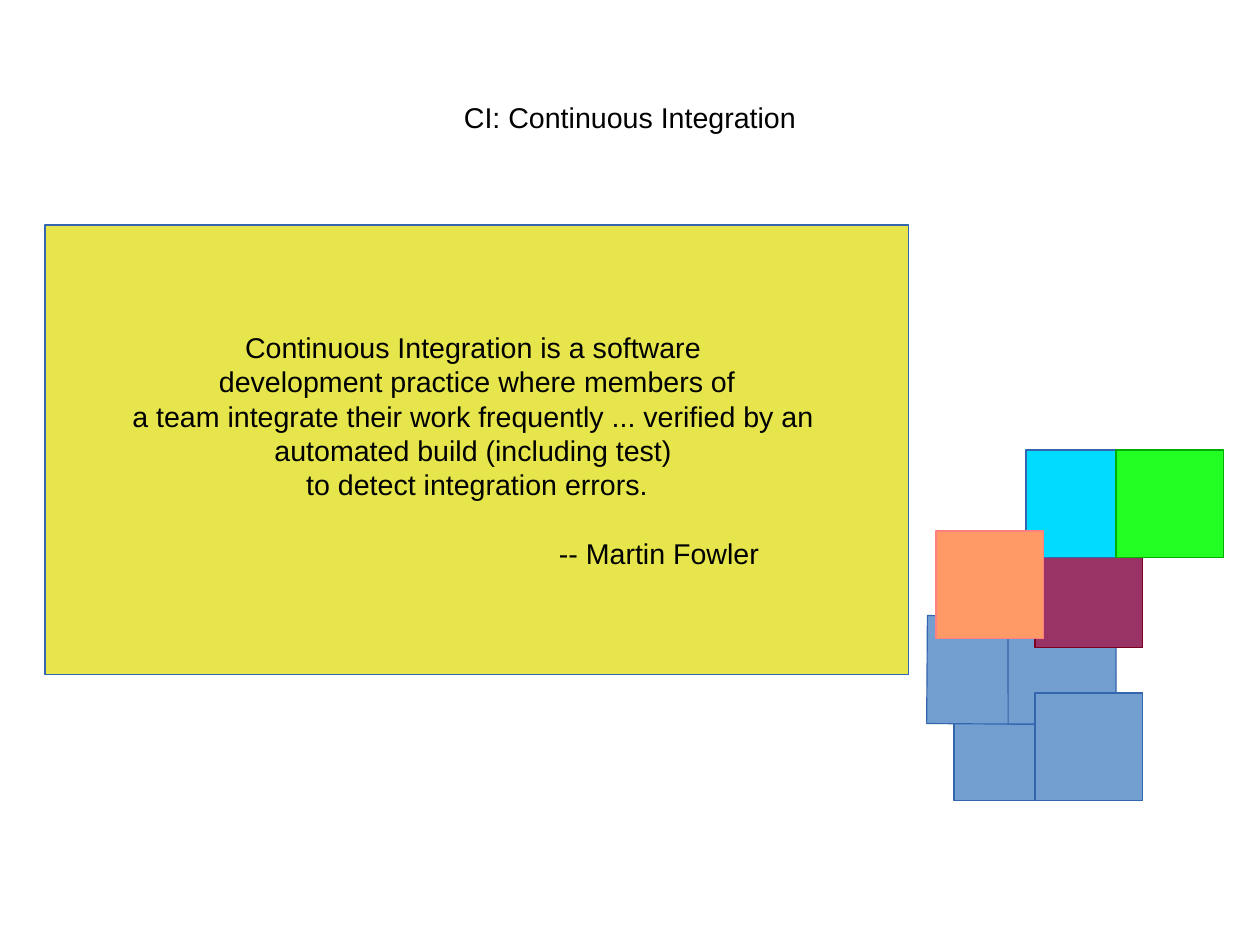
from pptx import Presentation
from pptx.dml.color import RGBColor
from pptx.enum.shapes import MSO_SHAPE
from pptx.enum.text import MSO_ANCHOR, PP_ALIGN
from pptx.util import Pt

RECTANGLE = MSO_SHAPE.RECTANGLE
MIDDLE = MSO_ANCHOR.MIDDLE
CENTER = PP_ALIGN.CENTER

EMU_PER_PX = 8000
PAGE_WIDTH, PAGE_HEIGHT = 1260, 945
SQUARE_SIDE = 108

BLACK = "000000"
YELLOW = "E6E64C"
BLUE = "729FCF"
BLUE_EDGE = "3465AF"

QUOTE = [
    "Continuous Integration is a software ",
    "development practice where members of",
    "a team integrate their work frequently ... verified by an ",
    "automated build (including test) ",
    "to detect integration errors.",
]
AUTHOR = "-- Martin Fowler"
AUTHOR_INDENT = 364
AUTHOR_GAP = 21.6

# left, top, rotation, fill, edge; from back to front
SQUARES = [
    (954, 693, 0, BLUE, BLUE_EDGE),
    (927, 616, 90.4, BLUE, BLUE_EDGE),
    (1008, 616, 89.9, BLUE, BLUE_EDGE),
    (1035, 540, 0, "993366", "7E0021"),
    (1026, 450, 0, "00DCFF", BLUE_EDGE),
    (936, 531, 0, "FF9966", "FF8080"),
    (1116, 450, 0, "23FF23", "00AE00"),
    (1035, 693, 0, BLUE, BLUE_EDGE),
]


def px(length):
    return length * EMU_PER_PX


def color(value):
    return RGBColor.from_string(value)


class Page:
    font_name = "Arial"
    font_size = Pt(18)
    edge_width = Pt(0.75)

    def __init__(self, deck):
        self.slide = deck.slides.add_slide(deck.slide_layouts[6])

    def set_lines(self, frame, lines):
        """Fill a text frame with centred paragraphs and return the last one."""
        frame.word_wrap = True
        frame.vertical_anchor = MIDDLE
        for index, line in enumerate(lines):
            para = frame.add_paragraph() if index else frame.paragraphs[0]
            para.text = line
            para.alignment = CENTER
            para.font.name = self.font_name
            para.font.size = self.font_size
            para.font.color.rgb = color(BLACK)
        return para

    def title(self, left, top, width, height, text):
        box = self.slide.shapes.add_textbox(*map(px, (left, top, width, height)))
        frame = box.text_frame
        frame.margin_left = frame.margin_right = 0
        frame.margin_top = frame.margin_bottom = 0
        self.set_lines(frame, [text])

    def rectangle(self, left, top, width, height, fill, edge, rotation=0):
        shape = self.slide.shapes.add_shape(
            RECTANGLE, *map(px, (left, top, width, height)))
        shape.shadow.inherit = False
        shape.rotation = rotation
        shape.fill.solid()
        shape.fill.fore_color.rgb = color(fill)
        shape.line.color.rgb = color(edge)
        shape.line.width = self.edge_width
        return shape

    def quote(self, left, top, width, height, lines, author):
        panel = self.rectangle(left, top, width, height, YELLOW, BLUE_EDGE)
        para = self.set_lines(panel.text_frame, [*lines, author])
        para.space_before = Pt(AUTHOR_GAP)
        para._p.get_or_add_pPr().set("marL", str(px(AUTHOR_INDENT)))


def main():
    deck = Presentation()
    deck.slide_width = px(PAGE_WIDTH)
    deck.slide_height = px(PAGE_HEIGHT)
    page = Page(deck)
    page.title(63, 38, 1134, 158, "CI: Continuous Integration")
    page.quote(45, 225, 864, 450, QUOTE, AUTHOR)
    for left, top, rotation, fill, edge in SQUARES:
        page.rectangle(left, top, SQUARE_SIDE, SQUARE_SIDE, fill, edge, rotation)
    deck.save("out.pptx")


if __name__ == "__main__":
    main()
